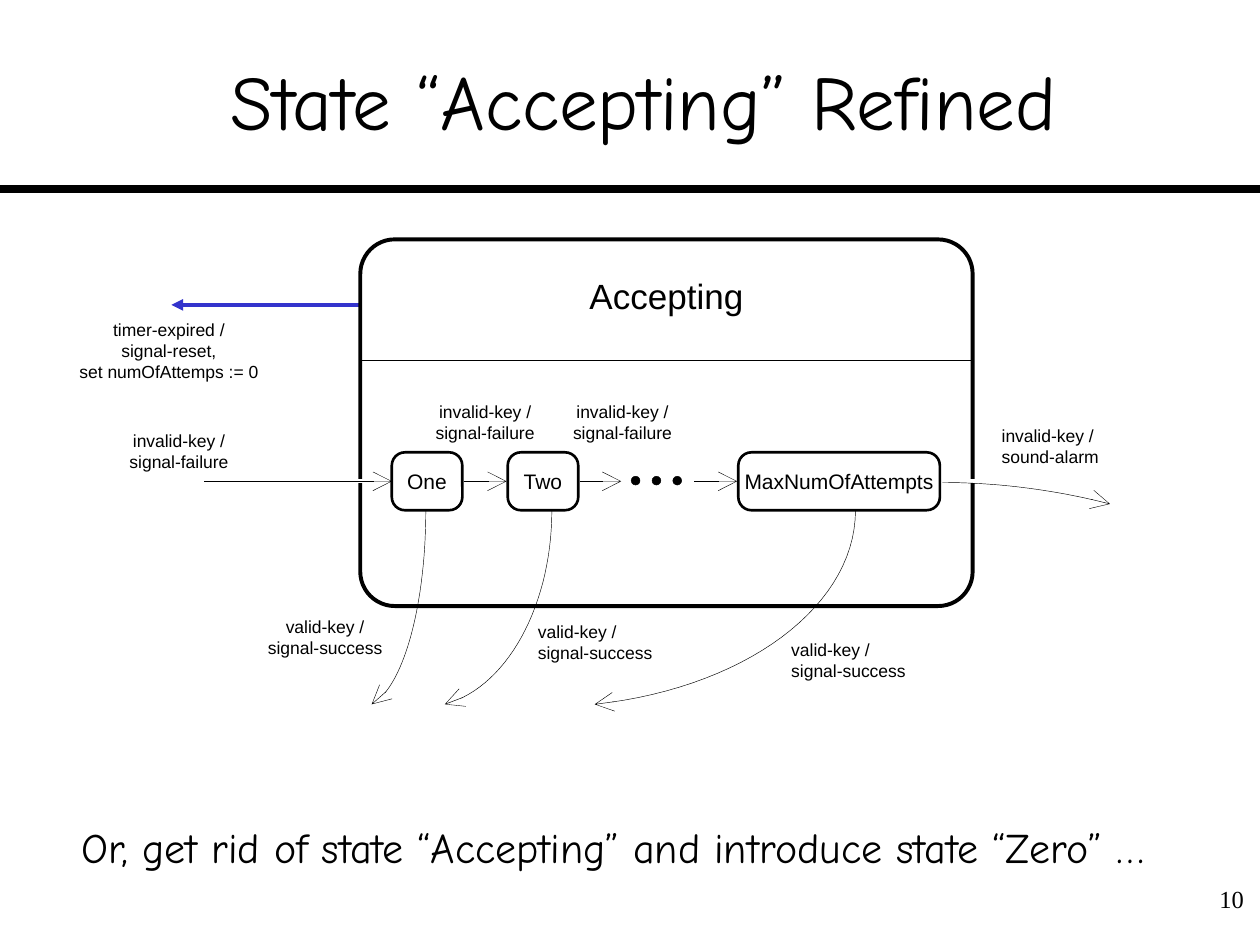
from lxml import etree
from pptx import Presentation
from pptx.dml.color import RGBColor
from pptx.enum import shapes, text
from pptx.oxml.ns import qn
from pptx.util import Inches, Pt

BLACK = RGBColor(0, 0, 0)
WHITE = RGBColor(255, 255, 255)
BLUE = RGBColor(0x33, 0x33, 0xCC)
SANS, HAND, SERIF = "Arial", "Comic Neue", "Times New Roman"
LEFT, MID, RIGHT = text.PP_ALIGN.LEFT, text.PP_ALIGN.CENTER, text.PP_ALIGN.RIGHT
FLOW = 3.82  # height of the row of inner states
THIN = 0.25

FAIL = "invalid-key /\nsignal-failure"
PASS = "valid-key /\nsignal-success"
LABELS = [
    (FAIL, (0.97, 3.41, 0.9, 0.33), MID),
    ("invalid-key /\nsound-alarm", (7.94, 3.37, 0.9, 0.33), LEFT),
    ("timer-expired /\nsignal-reset,\nset numOfAttemps := 0", (0.59, 2.53, 1.5, 0.5), MID),
    (PASS, (2.08, 4.89, 1, 0.33), MID),
    (PASS, (6.27, 5.07, 1, 0.33), LEFT),
    (FAIL, (3.4, 3.18, 0.9, 0.33), MID),
    (FAIL, (4.49, 3.18, 0.9, 0.33), MID),
    (PASS, (4.26, 4.93, 1, 0.33), LEFT),
]
STATES = [("One", 3.11, 0.56), ("Two", 4.03, 0.56), ("MaxNumOfAttempts", 5.86, 1.6)]
STEPS = [(1.62, 3.11), (3.68, 4.02), (4.6, 4.93), (5.51, 5.85)]
CURVES = [
    [(7.48, 3.83), (7.93, 3.83), (8.38, 3.89), (8.81, 4)],
    [(3.38, 4.05), (3.38, 4.81), (3.2, 5.46), (2.95, 5.59)],
    [(4.38, 4.05), (4.38, 4.81), (4.02, 5.46), (3.53, 5.59)],
    [(6.79, 4.05), (6.79, 4.81), (5.92, 5.46), (4.72, 5.59)],
]


def write(frame, words, size=10, font=SANS, align=LEFT, inset=(0, 0, 0, 0),
          anchor=text.MSO_ANCHOR.TOP, wrap=False, fit=text.MSO_AUTO_SIZE.NONE):
    frame.text = words
    frame.word_wrap = wrap
    frame.auto_size = fit
    frame.vertical_anchor = anchor
    (frame.margin_left, frame.margin_top,
     frame.margin_right, frame.margin_bottom) = map(Inches, inset)
    for para in frame.paragraphs:
        para.alignment = align
        for run in para.runs:
            run.font.size = Pt(size)
            run.font.name = font
            run.font.color.rgb = BLACK


def add_text(slide, words, box, **style):
    write(slide.shapes.add_textbox(*map(Inches, box)).text_frame, words, **style)


def stroke(item, color, width, tip=None, scale="lg"):
    """Style a line and give it an optional arrowhead at its end."""
    item.line.color.rgb = color
    item.line.width = Pt(width)
    if tip:
        etree.SubElement(item.element.spPr.get_or_add_ln(), qn("a:tailEnd"),
                         type=tip, w=scale, len=scale)


def add_line(slide, start, end, color=BLACK, width=THIN, **head):
    line = slide.shapes.add_connector(
        shapes.MSO_CONNECTOR.STRAIGHT, *map(Inches, start + end))
    stroke(line, color, width, **head)
    etree.SubElement(line.element.spPr, qn("a:effectLst"))


def add_shape(slide, kind, box, fill, width, bend=None):
    shape = slide.shapes.add_shape(kind, *map(Inches, box))
    shape.shadow.inherit = False
    shape.fill.solid()
    shape.fill.fore_color.rgb = fill
    stroke(shape, BLACK, width)
    if bend is not None:
        shape.adjustments[0] = bend
    return shape


def add_curve(slide, knots, steps=30):
    """Draw a cubic Bezier arrow through short segments."""
    points = []
    for i in range(steps + 1):
        t = i / steps
        weights = ((1 - t) ** 3, 3 * t * (1 - t) ** 2, 3 * t * t * (1 - t), t ** 3)
        points.append(tuple(
            Inches(sum(w * knot[axis] for w, knot in zip(weights, knots)))
            for axis in (0, 1)))
    path = slide.shapes.build_freeform(*points[0])
    path.add_line_segments(points[1:], close=False)
    curve = path.convert_to_shape()
    curve.shadow.inherit = False
    curve.fill.background()
    stroke(curve, BLACK, THIN, "arrow")


def add_title(slide, words):
    title = slide.shapes.title
    title.left, title.top, title.width, title.height = map(Inches, (0.42, 0.17, 9.38, 1.25))
    write(title.text_frame, words, size=44, font=HAND, align=MID, wrap=True,
          inset=(0, 0.05, 0, 0.05), anchor=text.MSO_ANCHOR.MIDDLE)


def add_outer(slide):
    """Draw the enclosing state, with gaps in its border for the flow."""
    round_box = shapes.MSO_SHAPE.ROUNDED_RECTANGLE
    add_line(slide, (2.85, 2.42), (1.36, 2.42), BLUE, 2.25, tip="triangle", scale="med")
    outer = add_shape(slide, round_box, (2.86, 1.9, 4.86, 2.91), WHITE, 2.25, 0.094)
    write(outer.text_frame, "Accepting", size=20, align=MID, inset=(0, 0.2, 0, 0))
    for x in (2.73, 7.6):
        add_line(slide, (x, FLOW), (x + 0.25, FLOW), WHITE, 2.25)
    add_line(slide, (2.86, 2.86), (7.72, 2.86))


def add_inner(slide):
    for start, end in STEPS:
        add_line(slide, (start, FLOW), (end, FLOW), tip="arrow")
    for i in range(3):
        add_shape(slide, shapes.MSO_SHAPE.OVAL,
                  (5.01 + 0.165 * i, 3.78, 0.07, 0.07), BLACK, THIN)
    for knots in CURVES:
        add_curve(slide, knots)
    for name, x, width in STATES:
        state = add_shape(slide, shapes.MSO_SHAPE.ROUNDED_RECTANGLE,
                          (x, 3.59, width, 0.46), WHITE, 1.5, 0.227)
        write(state.text_frame, name, size=12, align=MID,
              inset=(0.1, 0.05, 0.1, 0.05), anchor=text.MSO_ANCHOR.MIDDLE)


def main():
    deck = Presentation()
    deck.slide_width, deck.slide_height = Inches(10), Inches(7.5)
    slide = deck.slides.add_slide(deck.slide_layouts[5])
    add_line(slide, (0, 1.5), (10, 1.5), width=4.5)
    add_title(slide, "State “Accepting” Refined")
    add_outer(slide)
    add_inner(slide)
    for words, box, align in LABELS:
        add_text(slide, words, box, align=align, inset=(0.01, 0, 0.01, 0))
    add_text(slide, "Or, get rid of state “Accepting” and introduce state “Zero” …",
             (0.65, 6.52, 8.52, 0.4), size=24, font=HAND,
             fit=text.MSO_AUTO_SIZE.SHAPE_TO_FIT_TEXT)
    add_text(slide, "10", (9.35, 6.97, 0.62, 0.5), size=14, font=SERIF,
             align=RIGHT, inset=(0.1, 0.05, 0.1, 0.05), wrap=True)
    deck.save("out.pptx")


if __name__ == "__main__":
    main()
